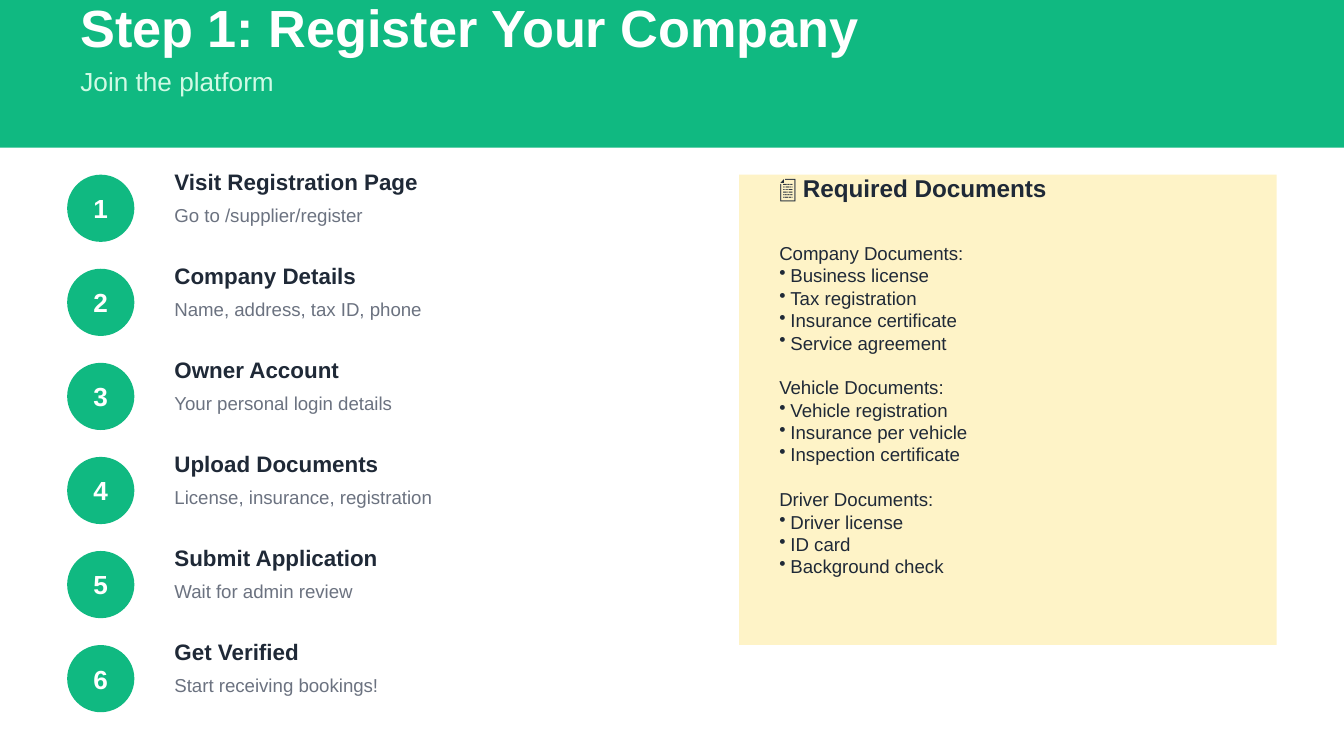
from pptx import Presentation
from pptx.dml.color import RGBColor
from pptx.enum import shapes, text
from pptx.oxml.ns import qn
from pptx.util import Pt
from lxml import etree

GREEN = RGBColor(0x10, 0xB9, 0x81)
MINT = RGBColor(0xD1, 0xFA, 0xE5)
CREAM = RGBColor(0xFE, 0xF3, 0xC7)
DARK = RGBColor(0x1F, 0x29, 0x37)
GRAY = RGBColor(0x6B, 0x72, 0x80)
WHITE = RGBColor(0xFF, 0xFF, 0xFF)

STEPS = [
    ("Visit Registration Page", "Go to /supplier/register"),
    ("Company Details", "Name, address, tax ID, phone"),
    ("Owner Account", "Your personal login details"),
    ("Upload Documents", "License, insurance, registration"),
    ("Submit Application", "Wait for admin review"),
    ("Get Verified", "Start receiving bookings!"),
]
DOCS = {
    "Company Documents:": ["Business license", "Tax registration",
                           "Insurance certificate", "Service agreement"],
    "Vehicle Documents:": ["Vehicle registration", "Insurance per vehicle",
                           "Inspection certificate"],
    "Driver Documents:": ["Driver license", "ID card", "Background check"],
}


def write(para, words, size, color, bold=False):
    run = para.add_run()
    run.text = words
    font = run.font
    font.name, font.size, font.bold = "Arial", Pt(size), bold
    font.color.rgb = color


def frame(slide, x, y, w, h):
    """Add an empty wrapping text box without top and bottom insets."""
    body = slide.shapes.add_textbox(Pt(x), Pt(y), Pt(w), Pt(h)).text_frame
    body.word_wrap = True
    body.margin_top = body.margin_bottom = 0
    return body


def label(slide, words, x, mid, w, size, **style):
    """Add one line of text centred vertically on mid."""
    h = size * 1.2
    body = frame(slide, x, mid - h / 2, w, h)
    body.vertical_anchor = text.MSO_ANCHOR.MIDDLE
    write(body.paragraphs[0], words, size, **style)


def block(slide, kind, x, y, w, h, color):
    shape = slide.shapes.add_shape(kind, Pt(x), Pt(y), Pt(w), Pt(h))
    shape.shadow.inherit = False
    shape.fill.solid()
    shape.fill.fore_color.rgb = color
    shape.line.fill.background()
    return shape


def bullet(para, indent):
    props = para._p.get_or_add_pPr()
    props.set("marL", str(Pt(indent)))
    props.set("indent", str(-Pt(indent)))
    etree.SubElement(props, qn("a:buChar")).set("char", "•")


def header(slide, x, y, w, h):
    block(slide, shapes.MSO_SHAPE.RECTANGLE, x, y, w, h, GREEN)
    label(slide, "Step 1: Register Your Company", x + 36, y + 14.4, 540, 28,
          color=WHITE, bold=True)
    label(slide, "Join the platform", x + 36, y + 43.2, 540, 14, color=MINT)


def step(slide, num, title, note, x, y, w, size):
    disc = block(slide, shapes.MSO_SHAPE.OVAL, x, y, size, size, GREEN)
    body = disc.text_frame
    body.margin_left = body.margin_right = 0
    body.vertical_anchor = text.MSO_ANCHOR.MIDDLE
    para = body.paragraphs[0]
    para.alignment = text.PP_ALIGN.CENTER
    write(para, str(num), 14, WHITE, True)
    left = size + 14.4
    label(slide, title, x + left, y + 3.6, w - left, 12, color=DARK, bold=True)
    label(slide, note, x + left, y + 21.6, w - left, 10, color=GRAY)


def steps(slide, x, y, w, pitch):
    for i, (title, note) in enumerate(STEPS):
        step(slide, i + 1, title, note, x, y + i * pitch, w, 36)


def documents(slide, x, y, w, h):
    block(slide, shapes.MSO_SHAPE.RECTANGLE, x, y, w, h, CREAM)
    pad = 14.4
    label(slide, "📄 Required Documents", x + pad, y + 7.2, w - 2 * pad, 13,
          color=DARK, bold=True)
    body = frame(slide, x + pad, y + 36, w - 2 * pad, 180)
    para = body.paragraphs[0]
    for i, (group, items) in enumerate(DOCS.items()):
        if i:
            para = body.add_paragraph()
            para.space_before = Pt(12)
        para.line_spacing = Pt(12)
        write(para, group, 10, DARK)
        for item in items:
            para = body.add_paragraph()
            para.line_spacing = Pt(12)
            bullet(para, 6)
            write(para, item, 10, DARK)


def main():
    deck = Presentation()
    deck.slide_width, deck.slide_height = Pt(720), Pt(405)
    slide = deck.slides.add_slide(deck.slide_layouts[6])
    header(slide, 0, 0, 720, 79.2)
    steps(slide, 36, 93.6, 340, 50.4)
    documents(slide, 396, 93.6, 288, 252)
    deck.save("out.pptx")


if __name__ == "__main__":
    main()
